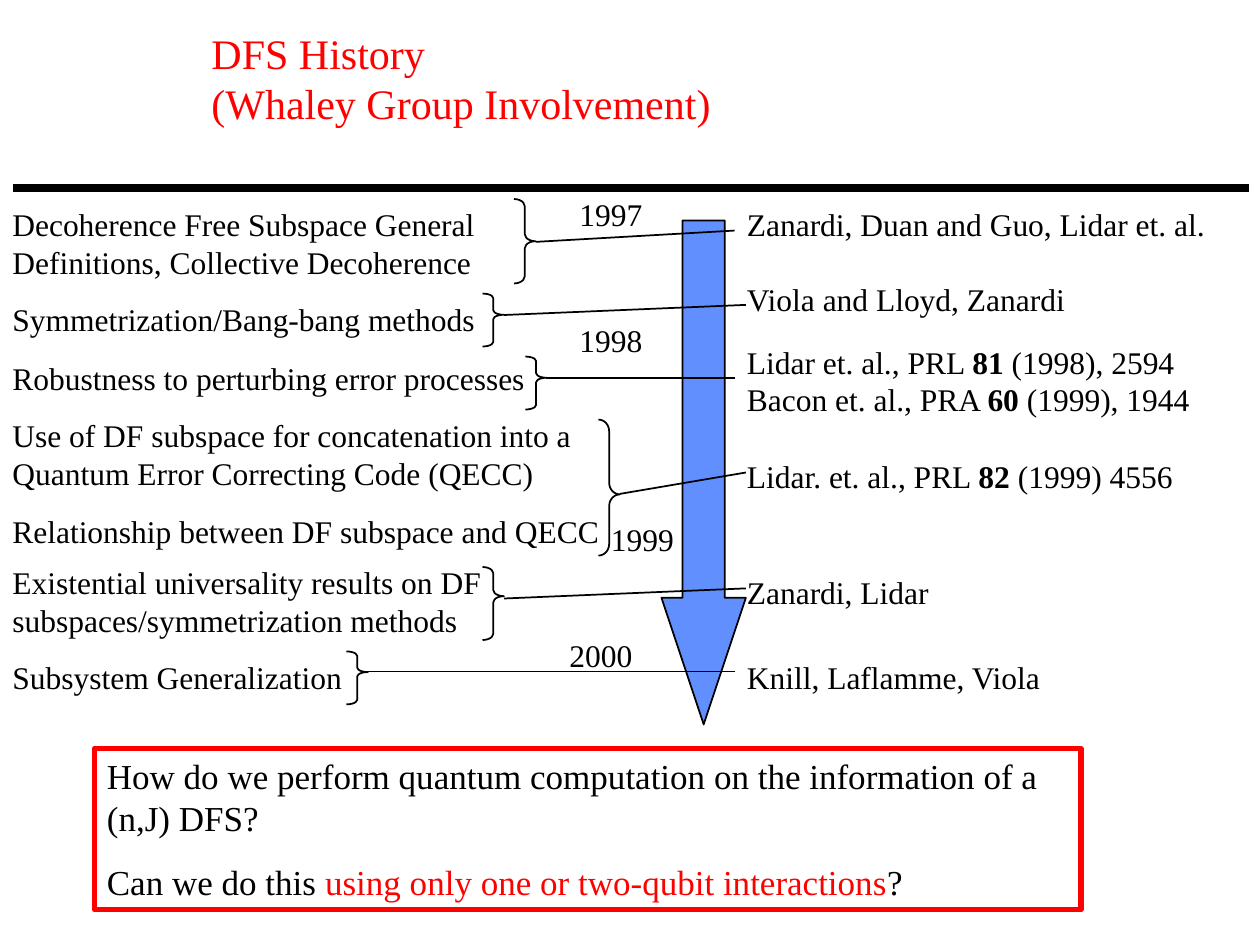
from lxml.etree import SubElement
from pptx import Presentation
from pptx.dml.color import RGBColor
from pptx.enum.shapes import MSO_CONNECTOR, MSO_SHAPE
from pptx.enum.text import MSO_ANCHOR, PP_ALIGN
from pptx.oxml.ns import qn
from pptx.util import Inches, Pt

BLACK, RED, BLUE = "000000", "FF0000", "618FFD"


def rgb(value):
    return RGBColor.from_string(value)


class SlideBuilder:
    """Draws styled elements on the current slide."""

    font = "Times New Roman"

    def __init__(self, slide):
        self.s = slide

    def fill_text(self, tf, paragraphs, size, color, gap=0, wrap=True):
        tf.word_wrap = wrap
        tf.vertical_anchor = MSO_ANCHOR.TOP
        for i, runs in enumerate(paragraphs):
            p = tf.add_paragraph() if i else tf.paragraphs[0]
            p.alignment = PP_ALIGN.LEFT
            p.space_before = Pt(gap if i else 0)
            p.font.name, p.font.size = self.font, Pt(size)
            p.font.color.rgb = rgb(color)
            for part in [runs] if isinstance(runs, str) else runs:
                text, look = (part, None) if isinstance(part, str) else part
                r = p.add_run()
                r.text = text
                if look == "bold":
                    r.font.bold = True
                elif look:
                    r.font.color.rgb = rgb(look)

    def text(self, x, y, w, h, paragraphs, size=18, color=BLACK, gap=0, wrap=True):
        sp = self.s.shapes.add_textbox(Inches(x), Inches(y), Inches(w), Inches(h))
        self.fill_text(sp.text_frame, paragraphs, size, color, gap, wrap)

    def shape(self, kind, x, y, w, h, fill=None, line=BLACK, width=1, adjust=()):
        sp = self.s.shapes.add_shape(kind, Inches(x), Inches(y), Inches(w), Inches(h))
        sp.shadow.inherit = False
        if fill:
            sp.fill.solid()
            sp.fill.fore_color.rgb = rgb(fill)
        else:
            sp.fill.background()
        sp.line.color.rgb = rgb(line)
        sp.line.width = Pt(width)
        for i, value in enumerate(adjust):
            sp.adjustments[i] = value
        return sp

    def brace(self, x, y, h, tip):
        self.shape(MSO_SHAPE.RIGHT_BRACE, x, y, 0.17, h, adjust=(h / 2, tip))

    def line(self, x1, y1, x2, y2, width=1):
        c = self.s.shapes.add_connector(
            MSO_CONNECTOR.STRAIGHT, Inches(x1), Inches(y1), Inches(x2), Inches(y2))
        c.line.color.rgb = rgb(BLACK)
        c.line.width = Pt(width)
        SubElement(c._element.spPr, qn("a:effectLst"))


TOPICS = [
    (1.58, 5.08, 0.7, ["Decoherence Free Subspace General Definitions, Collective Decoherence"]),
    (2.33, 4.42, 0.4, ["Symmetrization/Bang-bang methods"]),
    (2.8, 5.08, 1.62, [
        "Robustness to perturbing error processes",
        "Use of DF subspace for concatenation into a Quantum Error Correcting Code (QECC)",
        "Relationship between DF subspace and QECC"]),
    (4.42, 5.08, 0.7, ["Existential universality results on DF subspaces/symmetrization methods"]),
    (5.17, 4.42, 0.4, ["Subsystem Generalization"]),
]
AUTHORS = [
    (1.58, 0.4, ["Zanardi, Duan and Guo, Lidar et. al."]),
    (2.17, 0.4, ["Viola and Lloyd, Zanardi"]),
    (2.67, 0.7, [["Lidar et. al., PRL ", ("81", "bold"), " (1998), 2594"],
                 ["Bacon et. al., PRA ", ("60", "bold"), " (1999), 1944"]]),
    (3.58, 0.4, [["Lidar. et. al., PRL ", ("82", "bold"), " (1999) 4556"]]),
    (4.5, 0.4, ["Zanardi, Lidar"]),
    (5.17, 0.4, ["Knill, Laflamme, Viola"]),
]
BRACES = [
    (4.08, 1.58, 0.67, 0.5), (3.83, 2.33, 0.42, 0.4), (4.17, 2.83, 0.42, 0.4),
    (4.75, 3.33, 1.08, 0.55), (3.83, 4.5, 0.58, 0.4), (2.75, 5.17, 0.42, 0.39),
]
LINKS = [
    (4.25, 1.92, 5.83, 1.83), (4, 2.5, 5.92, 2.42), (4.33, 3, 5.83, 3),
    (4.92, 3.92, 5.92, 3.75), (4, 4.75, 5.92, 4.67), (2.92, 5.33, 5.83, 5.33),
]
YEARS = [("1997", 4.5, 1.5), ("1998", 4.5, 2.5), ("1999", 4.75, 4.08), ("2000", 4.42, 5)]


def main():
    prs = Presentation()
    prs.slide_width, prs.slide_height = Inches(10), Inches(7.5)
    b = SlideBuilder(prs.slides.add_slide(prs.slide_layouts[6]))

    b.line(0.1, 1.49, 9.91, 1.49, 4.5)
    b.shape(MSO_SHAPE.DOWN_ARROW, 5.25, 1.75, 0.67, 4, fill=BLUE, adjust=(0.5, 1.5))
    b.text(1.58, 0.17, 6.75, 1.17, ["DFS History", "(Whaley Group Involvement)"],
           24, RED, wrap=False)
    for y, w, h, paragraphs in TOPICS:
        b.text(0, y, w, h, paragraphs, gap=11.2)
    for y, h, paragraphs in AUTHORS:
        b.text(5.83, y, 4.17, h, paragraphs)
    for brace, link in zip(BRACES, LINKS):
        b.brace(*brace)
        b.line(*link)
    for year, x, y in YEARS:
        b.text(x, y, 1.08, 0.4, [year])

    question = b.shape(MSO_SHAPE.RECTANGLE, 0.75, 5.94, 7.83, 1.28, line=RED, width=3)
    b.fill_text(question.text_frame, [
        "How do we perform quantum computation on the information of a (n,J) DFS?",
        ["Can we do this ", ("using only one or two-qubit interactions", RED), "?"],
    ], 20, BLACK, gap=12.5)
    prs.save("out.pptx")


if __name__ == "__main__":
    main()
